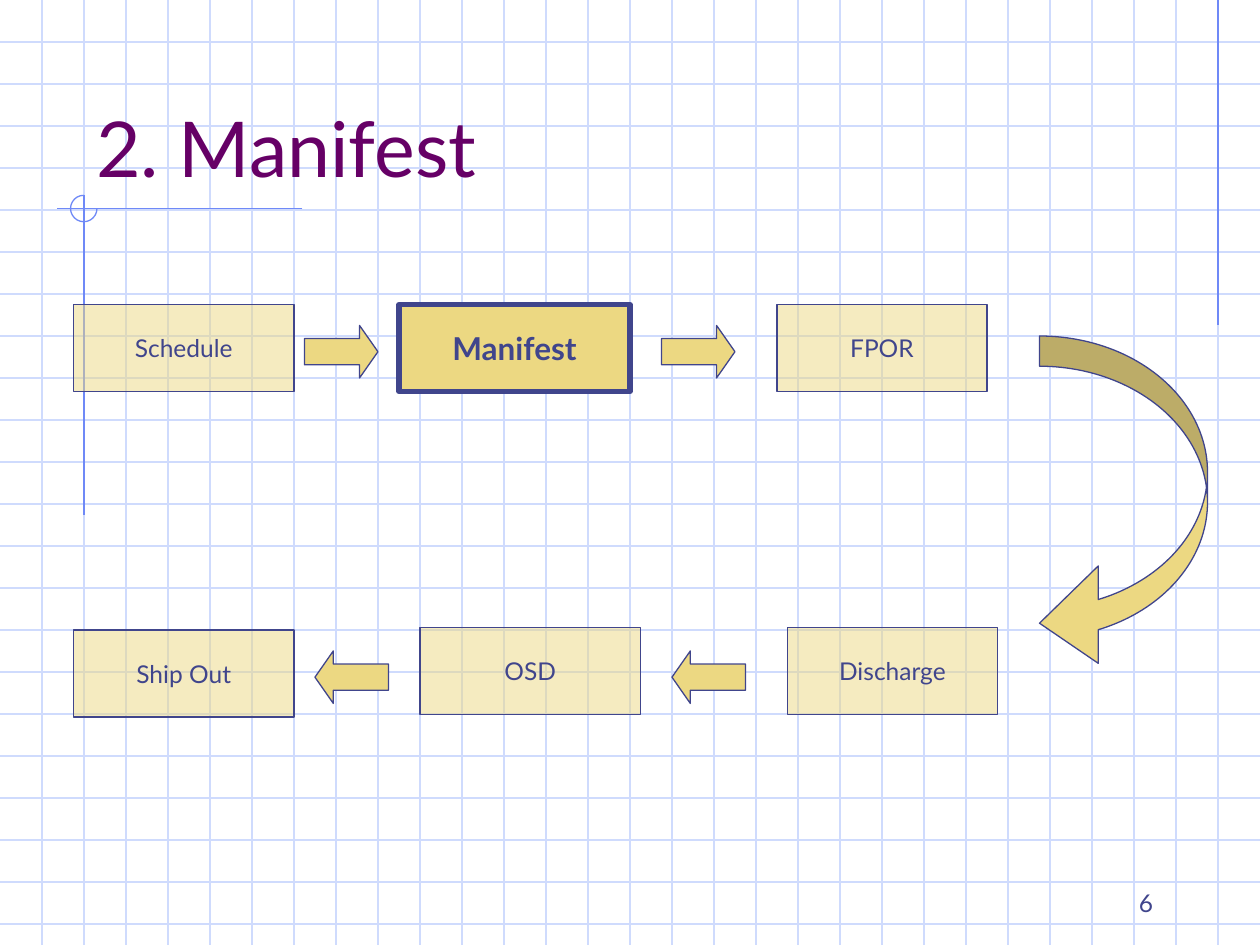
from dataclasses import dataclass

from lxml.etree import SubElement
from pptx import Presentation
from pptx.dml.color import RGBColor
from pptx.enum.shapes import MSO_CONNECTOR, MSO_SHAPE as Shape
from pptx.enum.text import MSO_ANCHOR as Anchor, PP_ALIGN as Align
from pptx.oxml.ns import qn
from pptx.util import Emu, Inches, Pt

COLUMNS, ROWS = 30, 22.5
CELL = Inches(10) / COLUMNS


@dataclass(frozen=True)
class Theme:
    font: str = "Lato"
    title: str = "660066"
    ink: str = "40458C"
    sand: str = "ECD882"
    grid: str = "CFDBFD"
    accent: str = "6F89F7"
    title_size: int = 44
    strong_size: int = 18
    body_size: int = 14
    thin: float = 0.75
    thick: float = 3
    soft_opacity: int = 50


@dataclass(frozen=True)
class Area:
    """A rectangle in grid cells."""
    column: float
    row: float
    columns: float
    rows: float

    def lengths(self) -> list[Emu]:
        return [cells(n) for n in (self.column, self.row, self.columns, self.rows)]


@dataclass(frozen=True)
class Step:
    label: str
    column: float
    row: float
    columns: float
    current: bool = False


@dataclass(frozen=True)
class Arrow:
    kind: Shape
    area: Area
    adjustments: tuple[float, ...]


THEME = Theme()
STEP_ROWS = 2.07
TOP_ROW, BOTTOM_ROW = 7.25, 14.94
STEPS = (
    Step("Schedule", 1.75, TOP_ROW, 5.25),
    Step("Manifest", 9.5, TOP_ROW, 5.5, current=True),
    Step("FPOR", 18.5, TOP_ROW, 5),
    Step("Discharge", 18.75, BOTTOM_ROW, 5),
    Step("OSD", 10, BOTTOM_ROW, 5.25),
    Step("Ship Out", 1.75, 15, 5.25),
)
BLOCK = (0.5, 0.35)
ARROWS = (
    *(Arrow(Shape.RIGHT_ARROW, Area(column, 7.75, 1.75, 1.25), BLOCK)
      for column in (7.25, 15.75)),
    Arrow(Shape.CURVED_LEFT_ARROW, Area(24.75, 8, 4, 8), (0.18, 0.58, 0.35)),
    *(Arrow(Shape.LEFT_ARROW, Area(column, 15.5, 1.75, 1.25), BLOCK)
      for column in (16, 7.5)),
)


def cells(count: float) -> Emu:
    return Emu(round(count * CELL))


def colour(code: str) -> RGBColor:
    return RGBColor.from_string(code)


def draw_line(page, start: tuple[float, float], end: tuple[float, float], code: str) -> None:
    line = page.shapes.add_connector(
        MSO_CONNECTOR.STRAIGHT, *(cells(n) for n in (*start, *end)))
    line.line.color.rgb = colour(code)
    line.line.width = Pt(THEME.thin)
    SubElement(line._element.spPr, qn("a:effectLst"))


def draw_shape(page, kind: Shape, area: Area, fill: str | None, line: str,
               width: float = THEME.thin, opacity: int = 100):
    shape = page.shapes.add_shape(kind, *area.lengths())
    shape.shadow.inherit = False
    if fill is None:
        shape.fill.background()
    else:
        shape.fill.solid()
        shape.fill.fore_color.rgb = colour(fill)
        if opacity < 100:
            tint = shape._element.spPr.find(f"{qn('a:solidFill')}/{qn('a:srgbClr')}")
            SubElement(tint, qn("a:alpha"), val=str(opacity * 1000))
    shape.line.color.rgb = colour(line)
    shape.line.width = Pt(width)
    return shape


def write(frame, text: str, size: int, code: str, align: Align, anchor: Anchor,
          bold: bool = False, wrap: bool = True) -> None:
    frame.word_wrap = wrap
    frame.vertical_anchor = anchor
    para = frame.paragraphs[0]
    para.alignment = align
    span = para.add_run()
    span.text = text
    span.font.name = THEME.font
    span.font.size = Pt(size)
    span.font.bold = bold
    span.font.color.rgb = colour(code)


def draw_background(page) -> None:
    for row in range(1, int(ROWS) + 1):
        draw_line(page, (0, row), (COLUMNS, row), THEME.grid)
    for column in range(1, COLUMNS):
        draw_line(page, (column, 0), (column, ROWS), THEME.grid)

    draw_line(page, (29, 0), (29, 7.75), THEME.accent)
    draw_line(page, (7.2, 4.97), (1.35, 4.97), THEME.accent)
    draw_line(page, (2, 4.65), (2, 12.27), THEME.accent)
    ring = draw_shape(page, Shape.ARC, Area(1.68, 4.65, 0.63, 0.63), None, THEME.accent)
    # Arc angles count in units of 5/3 degree: 162 is 270 degrees.
    ring.adjustments[0], ring.adjustments[1] = 0, 162


def draw_step(page, step: Step) -> None:
    area = Area(step.column, step.row, step.columns, STEP_ROWS)
    box = draw_shape(page, Shape.FLOWCHART_PROCESS, area, THEME.sand, THEME.ink,
                     THEME.thick if step.current else THEME.thin,
                     100 if step.current else THEME.soft_opacity)
    size = THEME.strong_size if step.current else THEME.body_size
    write(box.text_frame, step.label, size, THEME.ink, Align.CENTER, Anchor.MIDDLE,
          bold=step.current, wrap=False)


def draw_arrow(page, arrow: Arrow) -> None:
    shape = draw_shape(page, arrow.kind, arrow.area, THEME.sand, THEME.ink)
    for index, value in enumerate(arrow.adjustments):
        shape.adjustments[index] = value


def main() -> None:
    deck = Presentation()
    deck.slide_width, deck.slide_height = cells(COLUMNS), cells(ROWS)
    page = deck.slides.add_slide(deck.slide_layouts[6])

    draw_background(page)
    title = page.shapes.add_textbox(*Area(2, 1, 25.5, 3.75).lengths())
    write(title.text_frame, "2. Manifest", THEME.title_size, THEME.title,
          Align.LEFT, Anchor.BOTTOM)
    for step in STEPS:
        draw_step(page, step)
    for arrow in ARROWS:
        draw_arrow(page, arrow)
    number = page.shapes.add_textbox(*Area(21.5, 20.5, 6.25, 1.5).lengths())
    write(number.text_frame, "6", THEME.body_size, THEME.ink, Align.RIGHT, Anchor.BOTTOM)

    deck.save("out.pptx")


if __name__ == "__main__":
    main()
